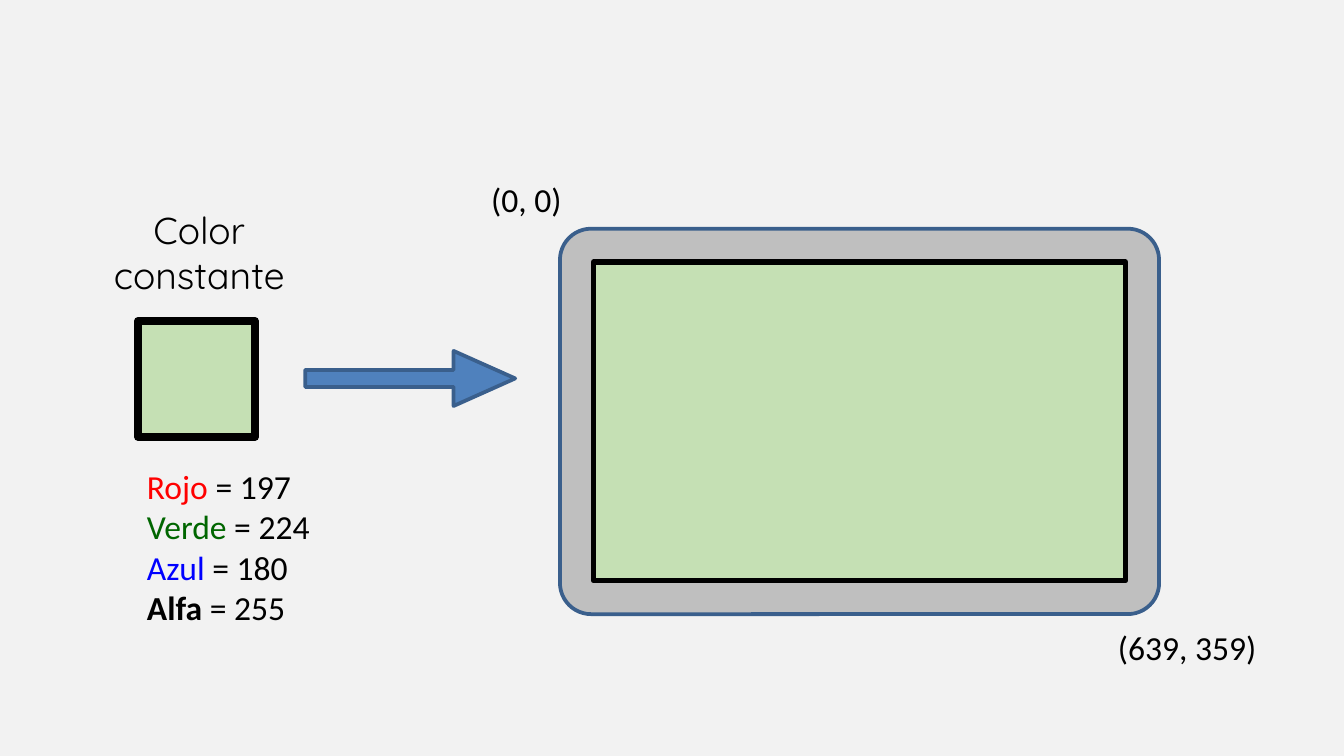
from pptx import Presentation
from pptx.dml.color import RGBColor
from pptx.enum import shapes, text
from pptx.util import Pt

BACKGROUND = RGBColor(0xF2, 0xF2, 0xF2)
BEZEL = RGBColor(0xBF, 0xBF, 0xBF)
OUTLINE = RGBColor(0x3A, 0x5F, 0x8C)
ARROW = RGBColor(0x4F, 0x81, 0xBD)
CONSTANT = RGBColor(0xC5, 0xE0, 0xB4)
BLACK = RGBColor(0, 0, 0)
RED = RGBColor(0xFF, 0, 0)
GREEN = RGBColor(0, 0x66, 0)
BLUE = RGBColor(0, 0, 0xFF)

CHANNELS = [("Rojo", 197, RED), ("Verde", 224, GREEN),
            ("Azul", 180, BLUE), ("Alfa", 255, BLACK)]
LABEL_HEIGHT = 27.5


def add_figure(page, kind, box, fill, line, width, adjustments=()):
    figure = page.shapes.add_shape(kind, *map(Pt, box))
    figure.shadow.inherit = False
    figure.fill.solid()
    figure.fill.fore_color.rgb = fill
    figure.line.color.rgb = line
    figure.line.width = Pt(width)
    for index, value in enumerate(adjustments):
        figure.adjustments[index] = value
    return figure


def add_text(page, box, wrap=True):
    frame = page.shapes.add_textbox(*map(Pt, box)).text_frame
    frame.word_wrap = wrap
    frame.margin_left = frame.margin_right = Pt(5.25)
    frame.margin_top = frame.margin_bottom = Pt(2.65)
    return frame


def add_span(para, words, color=BLACK, size=18, font="Calibri", bold=False):
    span = para.add_run()
    span.text = words
    span.font.name = font
    span.font.size = Pt(size)
    span.font.bold = bold
    span.font.color.rgb = color


def add_label(page, box, words, wrap=False, **style):
    para = add_text(page, box, wrap).paragraphs[0]
    para.alignment = text.PP_ALIGN.CENTER
    add_span(para, words, **style)


def add_color_source(page, left, top):
    # Caption and swatch
    add_label(page, (left, top, 124.5, 54), "Color constante", wrap=True,
              size=20, font="Quicksand")
    add_figure(page, shapes.MSO_SHAPE.RECTANGLE,
               (left + 29.5, top + 63.5, 62.5, 62), CONSTANT, BLACK, 4.5)

    # Channel values, one per line
    frame = add_text(page, (left + 29, top + 138.5, 155.5, 93))
    for index, (name, value, color) in enumerate(CHANNELS):
        para = frame.add_paragraph() if index else frame.paragraphs[0]
        add_span(para, f"{name} ", color, bold=name == "Alfa")
        add_span(para, f"= {value}")


def add_monitor(page, left, top, width, height):
    # Bezel with the filled screen centred in it
    inset = 18
    add_figure(page, shapes.MSO_SHAPE.ROUNDED_RECTANGLE,
               (left, top, width, height), BEZEL, OUTLINE, 2, [0.081])
    add_figure(page, shapes.MSO_SHAPE.RECTANGLE,
               (left + inset, top + inset, width - 2 * inset, height - 2 * inset),
               CONSTANT, BLACK, 3)

    # Coordinates of the first and last pixel
    add_label(page, (left - 43.5, top - 29, 51, LABEL_HEIGHT), "(0, 0)")
    add_label(page, (left + width - 33.5, top + height + 4.5, 97, LABEL_HEIGHT),
              "(639, 359)")


def main():
    deck = Presentation()
    deck.slide_width, deck.slide_height = Pt(720), Pt(405)
    page = deck.slides.add_slide(deck.slide_layouts[6])
    page.background.fill.solid()
    page.background.fill.fore_color.rgb = BACKGROUND

    add_color_source(page, 44.5, 108.5)
    add_figure(page, shapes.MSO_SHAPE.RIGHT_ARROW, (163.5, 188, 112.5, 29.5),
               ARROW, OUTLINE, 2, [0.31, 1.119])
    add_monitor(page, 300, 122.5, 321, 206.5)
    deck.save("out.pptx")


if __name__ == "__main__":
    main()
